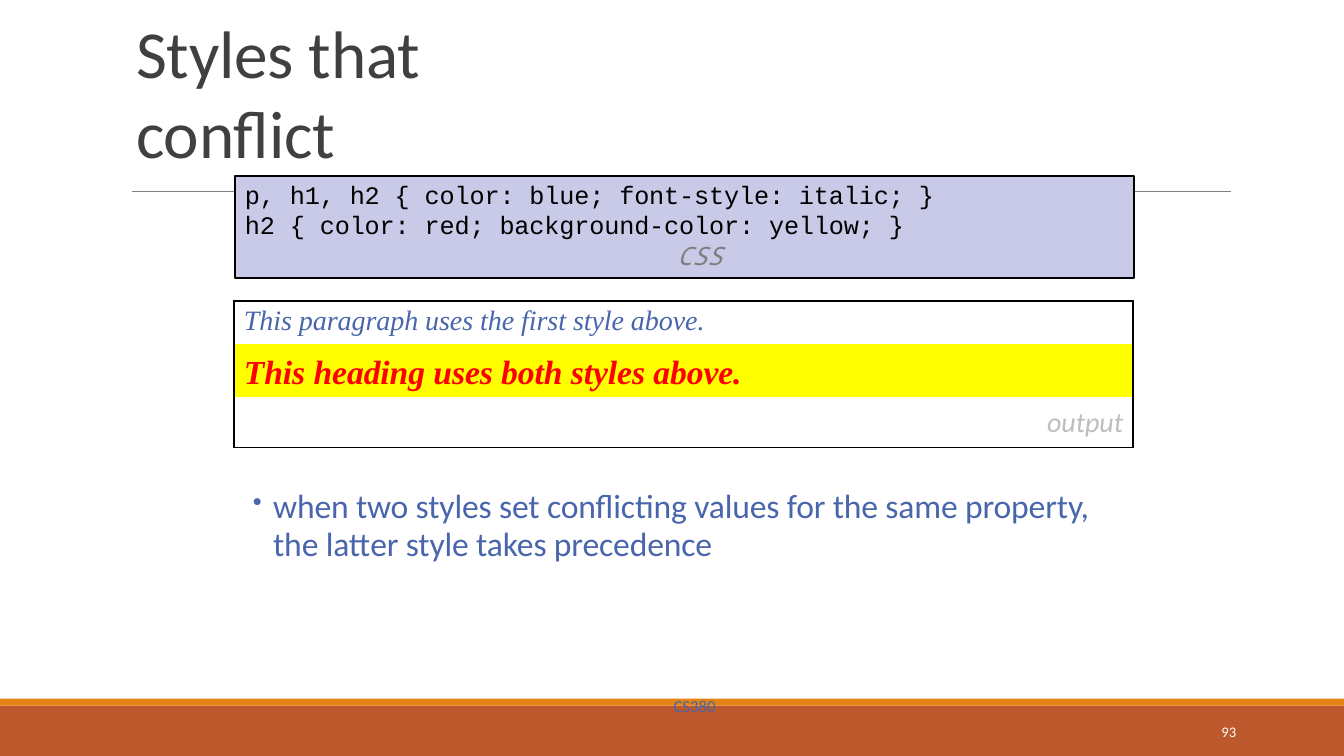
"""Build the slide on CSS styles that conflict."""
import pptx
import pptx.util
import pptx.dml.color
import pptx.enum.shapes
import pptx.enum.text
import pptx.oxml
import pptx.oxml.ns

Pt = pptx.util.Pt
Inches = pptx.util.Inches
RGBColor = pptx.dml.color.RGBColor
Align = pptx.enum.text.PP_ALIGN
Anchor = pptx.enum.text.MSO_ANCHOR
RECT = pptx.enum.shapes.MSO_SHAPE.RECTANGLE

WIDE, HIGH = 13.33, 7.5
BLACK = RGBColor(0x00, 0x00, 0x00)
WHITE = RGBColor(0xFF, 0xFF, 0xFF)
RUST = RGBColor(0xBD, 0x58, 0x2C)
ORANGE = RGBColor(0xE4, 0x83, 0x12)
DARK = RGBColor(0x40, 0x40, 0x40)
GRAY = RGBColor(0x80, 0x80, 0x80)
LABEL = RGBColor(0x7E, 0x7E, 0x7E)
PALE = RGBColor(0xBE, 0xBE, 0xBE)
BLUE = RGBColor(0x49, 0x66, 0xAC)
LILAC = RGBColor(0xC8, 0xCA, 0xE7)
RED = RGBColor(0xFF, 0x00, 0x00)
YELLOW = RGBColor(0xFF, 0xFF, 0x00)

# Places are left, top, width, height in percent of the slide.
BARS = [((0, 93.33, 100, 6.67), RUST), ((0, 92.4, 100, 0.93), ORANGE)]
RULE = (9.83, 25.33, 91.6)
TITLE = ("Styles that conflict", (10.05, 12.67, 35.41, 10.13))
NUMBER = ("93", (81.25, 94.13, 10.73, 5.33))
COURSE = ("CS380", (50.04, 92.4, 3.53, 2.53))
POINT = ("when two styles set conflicting values for the same property, "
         "the latter style takes precedence", (18.75, 64.13, 63.84, 10.53))
CODE = ["p, h1, h2 { color: blue; font-style: italic; }",
        "h2 { color: red; background-color: yellow; }", "CSS"]
CODE_AT = (17.48, 23.33, 66.92, 13.47)
TABLE_AT = (17.4, 39.87, 66.92, 19.33)
# Text, row height, top inset, fill, font name, size, colour, bold, alignment
ROWS = [
    ("This paragraph uses the first style above.", 0.42, 0.04, WHITE,
     "Times New Roman", 20, BLUE, False, Align.LEFT),
    ("This heading uses both styles above.", 0.53, 0.11, YELLOW,
     "Times New Roman", 24, RED, True, Align.LEFT),
    ("output", 0.5, 0.09, WHITE, "Calibri", 20, PALE, False, Align.RIGHT),
]


def place(at):
    left, top, width, height = at
    return (Inches(left * WIDE / 100), Inches(top * HIGH / 100),
            Inches(width * WIDE / 100), Inches(height * HIGH / 100))


def node(tag, inner="", **attrs):
    text = "".join(f' {key}="{val}"' for key, val in attrs.items())
    space = pptx.oxml.ns.nsdecls("a")
    return pptx.oxml.parse_xml(f"<a:{tag} {space}{text}>{inner}</a:{tag}>")


def style(para, name, size, color, bold=False, italic=False, track=-10):
    for run in para.runs:
        font = run.font
        font.name, font.size = name, Pt(size)
        font.bold, font.italic = bold, italic
        font.color.rgb = color
        font._element.set("spc", str(track))


def inset(frame, top):
    frame.margin_left = frame.margin_right = frame.margin_bottom = 0
    frame.margin_top = Inches(top)
    frame.word_wrap = True


def indent(para, left, first=0):
    props = para._p.get_or_add_pPr()
    props.set("marL", str(Inches(left)))
    props.set("indent", str(Inches(first)))
    return props


def block(slide, at, fill):
    shape = slide.shapes.add_shape(RECT, *place(at))
    shape.shadow.inherit = False
    shape.fill.solid()
    shape.fill.fore_color.rgb = fill
    shape.line.fill.background()
    return shape


def label(slide, item, size, color, top=0, anchor=Anchor.TOP, track=-10):
    text, at = item
    frame = slide.shapes.add_textbox(*place(at)).text_frame
    inset(frame, top)
    frame.vertical_anchor = anchor
    frame.text = text
    para = frame.paragraphs[0]
    style(para, "Calibri", size, color, track=track)
    return para


def rule(slide):
    left, top, right = RULE
    start, level, end, _ = place((left, top, right, 0))
    line = slide.shapes.add_connector(
        pptx.enum.shapes.MSO_CONNECTOR.STRAIGHT, start, level, end, level)
    line.line.color.rgb = GRAY
    line.line.width = Pt(0.5)
    line._element.spPr.append(node("effectLst"))


def code(slide):
    shape = block(slide, CODE_AT, LILAC)
    shape.line.color.rgb = BLACK
    shape.line.width = Pt(1.44)
    frame = shape.text_frame
    inset(frame, 0.03)
    frame.vertical_anchor = Anchor.TOP
    frame.text = "\n".join(CODE)
    *lines, tag = frame.paragraphs
    for para in lines:
        indent(para, 0.1)
        para.alignment = Align.LEFT
        style(para, "Courier New", 18, BLACK)
    indent(tag, 0.3)
    tag.alignment = Align.CENTER
    style(tag, "Noto Sans Mono", 18, LABEL, italic=True)


def border(cell, sides):
    props = cell._tc.get_or_add_tcPr()
    solid = f'<a:solidFill><a:srgbClr val="{BLACK}"/></a:solidFill>'
    for side in "LRTB":
        inner = solid if side in sides else "<a:noFill/>"
        props.append(node("ln" + side, inner, w=Pt(1.5)))


def output(slide):
    table = slide.shapes.add_table(len(ROWS), 1, *place(TABLE_AT)).table
    table.first_row = table.horz_banding = False
    for pos, row in enumerate(ROWS):
        text, high, top, fill, name, size, color, bold, align = row
        table.rows[pos].height = Inches(high)
        cell = table.cell(pos, 0)
        cell.margin_left = cell.margin_right = Inches(0.1)
        cell.margin_top, cell.margin_bottom = Inches(top), 0
        sides = "LR" + "T" * (pos == 0) + "B" * (pos == len(ROWS) - 1)
        border(cell, sides)
        cell.fill.solid()
        cell.fill.fore_color.rgb = fill
        cell.text = text
        para = cell.text_frame.paragraphs[0]
        para.alignment = align
        style(para, name, size, color, bold, True, -5)


def main():
    deck = pptx.Presentation()
    deck.slide_width, deck.slide_height = Inches(WIDE), Inches(HIGH)
    slide = deck.slides.add_slide(deck.slide_layouts[6])
    for at, fill in BARS:
        block(slide, at, fill)
    rule(slide)
    indent(label(slide, TITLE, 48, DARK, 0.01, Anchor.BOTTOM), 0.01)
    page = label(slide, NUMBER, 10.5, WHITE, 0, Anchor.MIDDLE, 0)
    page.alignment = Align.RIGHT
    page.line_spacing = Pt(12.3)
    code(slide)
    point = label(slide, POINT, 24, BLUE, 0.02)
    point.line_spacing = Pt(27.4)
    props = indent(point, 0.21, -0.2)
    props.append(node("buSzPct", val=79000))
    props.append(node("buChar", char="•"))
    course = label(slide, COURSE, 12, BLUE, track=0)
    indent(course, 0.01)
    course.line_spacing = Pt(12.3)
    output(slide)
    deck.save("out.pptx")


if __name__ == "__main__":
    main()
